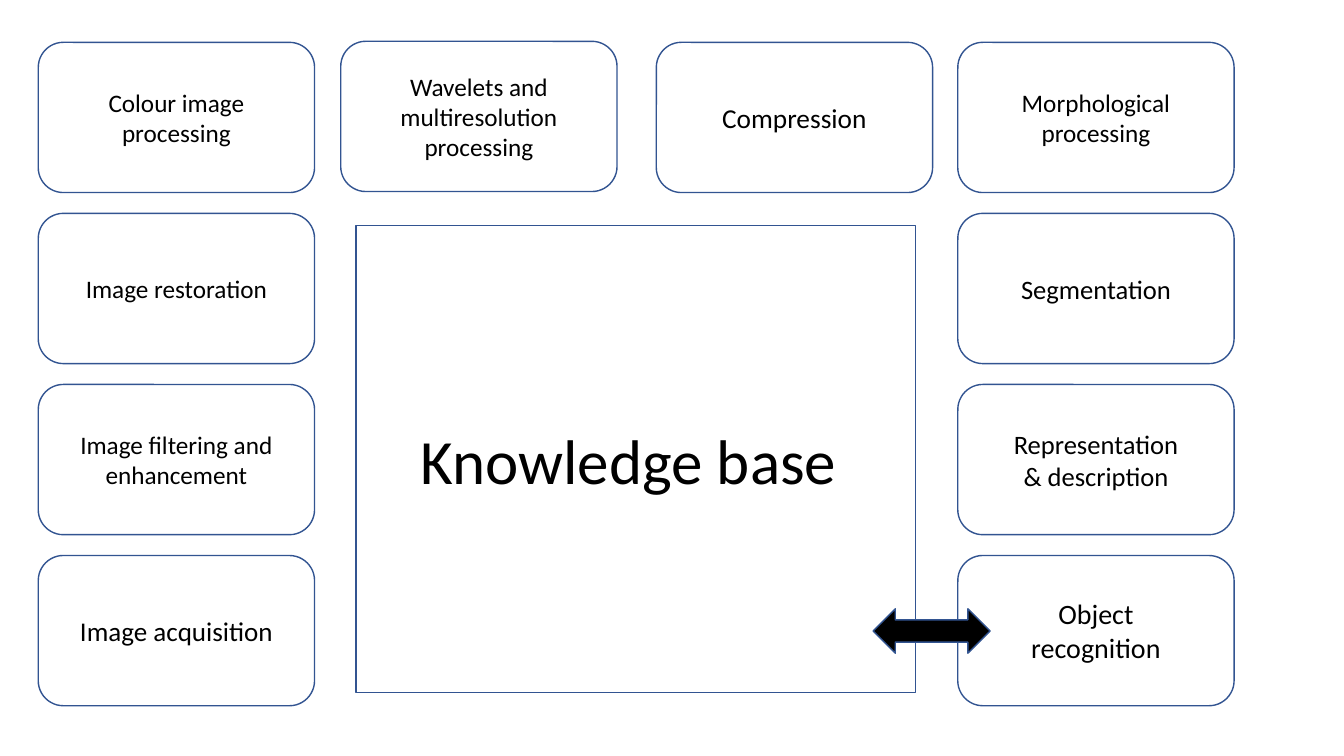
from pptx import Presentation
from pptx.dml.color import RGBColor
from pptx.enum.shapes import MSO_SHAPE
from pptx.enum.text import MSO_ANCHOR, PP_ALIGN
from pptx.util import Inches, Pt

LEFT, RIGHT = 0.38, 9.5
TOP, ROW_STEP = 0.42, 1.697
BOX_W, BOX_H = 2.74, 1.49

LEFT_COLUMN = [
    (["Colour image processing"], 18),
    (["Image restoration"], 18),
    (["Image filtering and", "enhancement"], 18),
    (["Image acquisition"], 19.3),
]
RIGHT_COLUMN = [
    (["Morphological", "processing"], 18),
    (["Segmentation"], 19),
    (["Representation", "& description"], 19),
    (["Object", "recognition"], 20),
]


def color(hex_value):
    return RGBColor.from_string(hex_value)


def add_shape(slide, kind, x, y, w, h, fill="FFFFFF"):
    sp = slide.shapes.add_shape(kind, Inches(x), Inches(y), Inches(w), Inches(h))
    sp.shadow.inherit = False
    sp.fill.solid()
    sp.fill.fore_color.rgb = color(fill)
    sp.line.color.rgb = color("325491")
    sp.line.width = Pt(1)
    return sp


def add_text(sp, lines, size):
    tf = sp.text_frame
    tf.word_wrap = True
    tf.vertical_anchor = MSO_ANCHOR.MIDDLE
    for i, line in enumerate(lines):
        p = tf.add_paragraph() if i else tf.paragraphs[0]
        p.alignment = PP_ALIGN.CENTER
        r = p.add_run()
        r.text = line
        r.font.name = "Calibri"
        r.font.size = Pt(size)
        r.font.color.rgb = color("000000")


def add_step(slide, x, y, lines, size):
    sp = add_shape(slide, MSO_SHAPE.ROUNDED_RECTANGLE, x, y, BOX_W, BOX_H)
    add_text(sp, lines, size)


def add_column(slide, x, steps):
    for row, (lines, size) in enumerate(steps):
        add_step(slide, x, TOP + row * ROW_STEP, lines, size)


def main():
    prs = Presentation()
    prs.slide_width = Inches(13.33)
    prs.slide_height = Inches(7.5)
    s = prs.slides.add_slide(prs.slide_layouts[6])

    add_column(s, LEFT, LEFT_COLUMN)
    add_column(s, RIGHT, RIGHT_COLUMN)
    add_step(s, 3.38, 0.41, ["Wavelets and multiresolution processing"], 18)
    add_step(s, 6.51, TOP, ["Compression"], 19.5)

    base = add_shape(s, MSO_SHAPE.RECTANGLE, 3.53, 2.24, 5.55, 4.63)
    add_text(base, ["Knowledge base "], 45)
    add_shape(s, MSO_SHAPE.LEFT_RIGHT_ARROW, 8.66, 6.04, 1.16, 0.44, "000000")

    prs.save("out.pptx")


if __name__ == "__main__":
    main()
